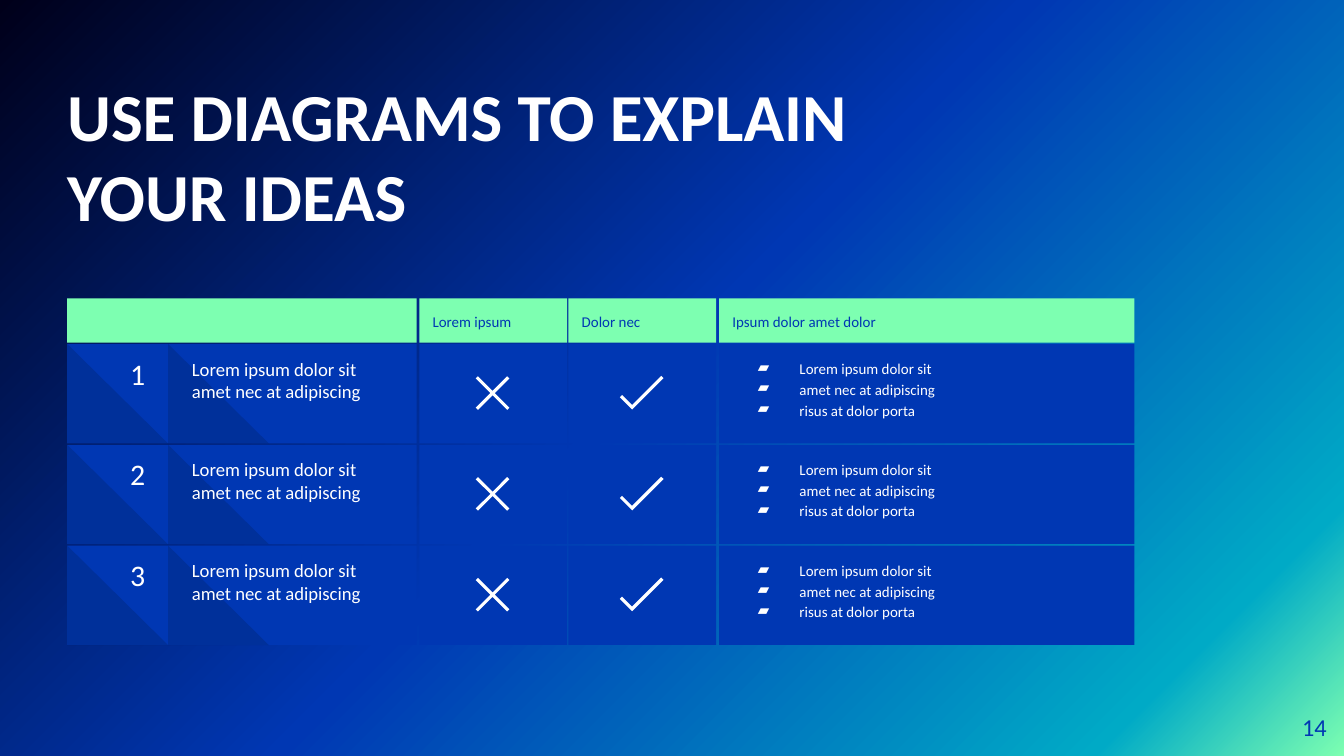
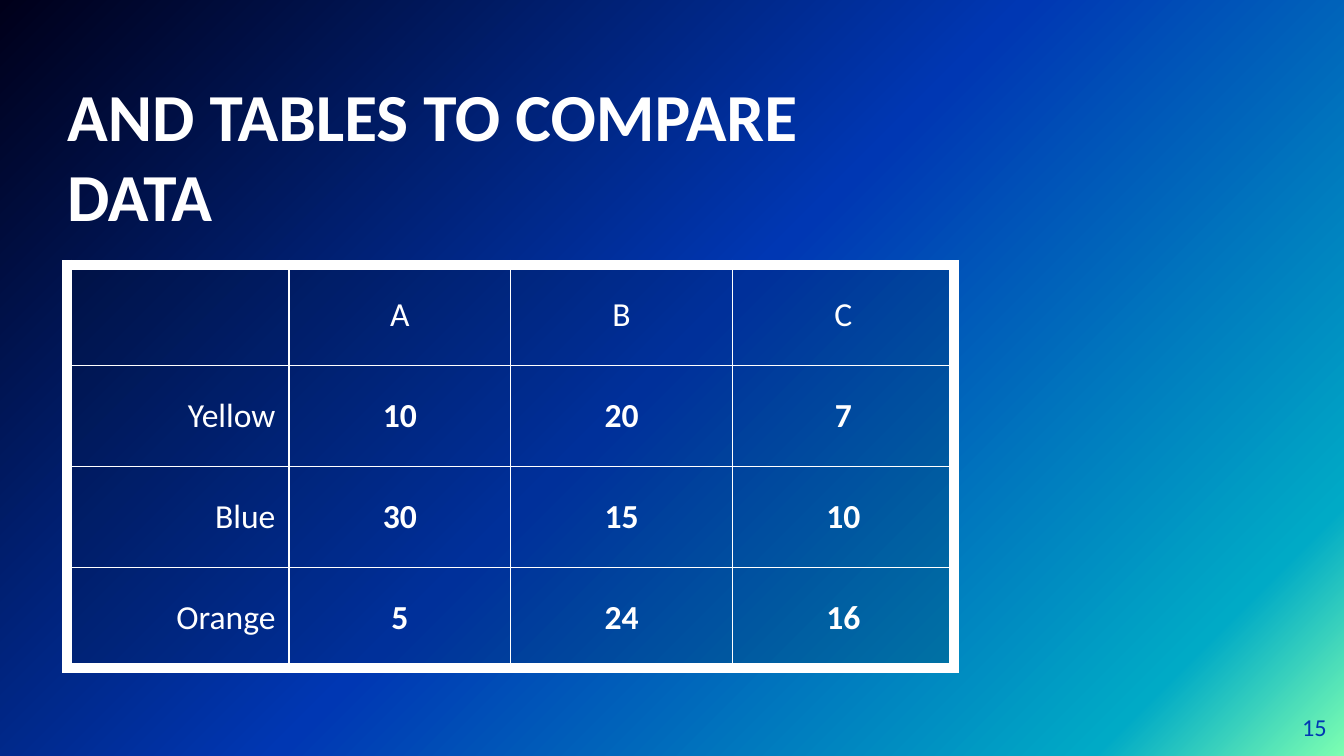
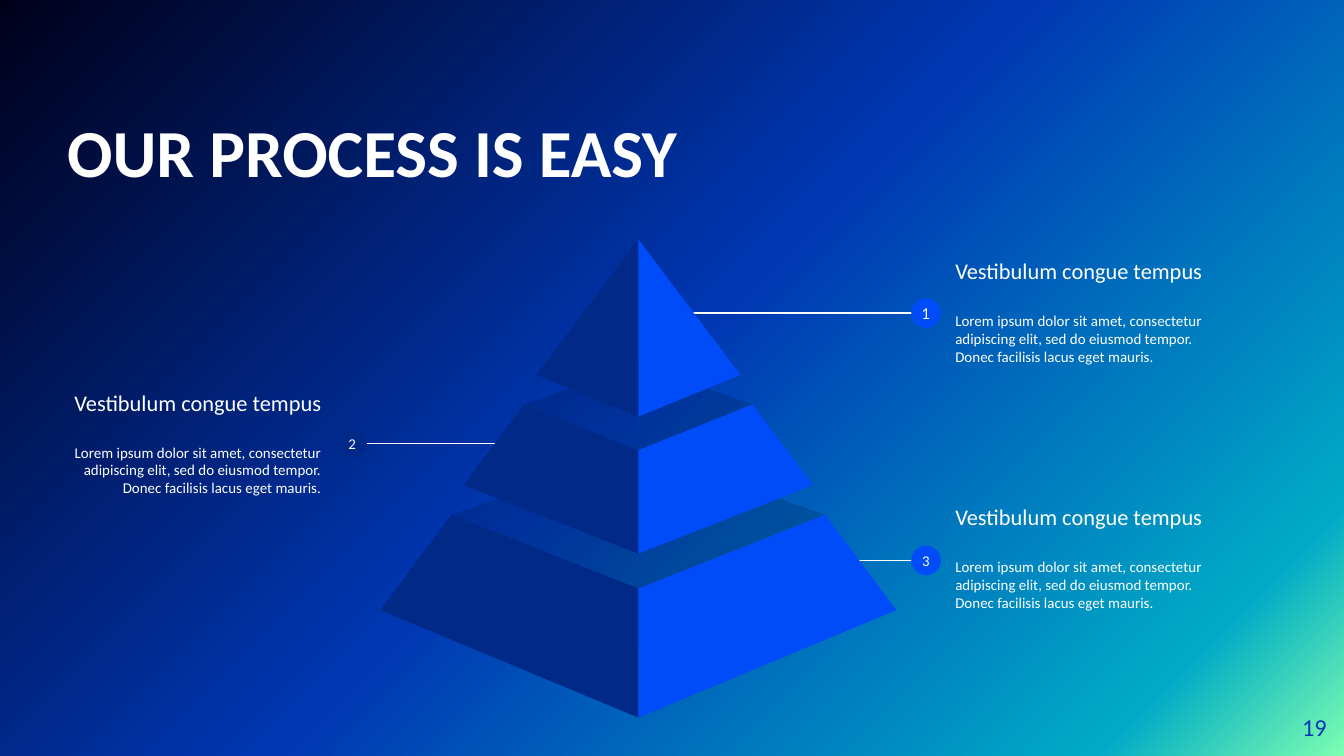
from lxml import etree
from pptx import Presentation
from pptx.dml.color import RGBColor
from pptx.enum.shapes import MSO_CONNECTOR, MSO_SHAPE
from pptx.enum.text import MSO_ANCHOR, PP_ALIGN
from pptx.oxml import parse_xml
from pptx.oxml.ns import nsdecls, qn
from pptx.util import Inches, Pt

RECT, OVAL = MSO_SHAPE.RECTANGLE, MSO_SHAPE.OVAL
TRIANGLE, TICK, CROSS = MSO_SHAPE.RIGHT_TRIANGLE, MSO_SHAPE.CORNER, MSO_SHAPE.MATH_MULTIPLY
LEFT, CENTER, RIGHT = PP_ALIGN.LEFT, PP_ALIGN.CENTER, PP_ALIGN.RIGHT
TOP, MIDDLE, BOTTOM = MSO_ANCHOR.TOP, MSO_ANCHOR.MIDDLE, MSO_ANCHOR.BOTTOM

C = {"white": "FFFFFF", "blue": "0037B3", "mint": "7DFFB1", "teal": "00AAC6",
     "night": "00001A", "shade": "001230", "bright": "004CF8", "deep": "002988"}
BACKDROP = [(0, "mint"), (12, "teal"), (51, "blue"), (100, "night")]
SHADE_ALPHA = 19

HEADERS = ["", "Lorem ipsum", "Dolor nec", "Ipsum dolor amet dolor"]
COLUMNS = [(0.5, 2.6), (3.12, 1.1), (4.23, 1.1), (5.35, 3.09)]
ROW_TOP, ROW_STEP, ROW_H = 2.56, 0.75, 0.74
ROW_NUMBERS = ["1", "2", "3"]
ROW_TEXT = "Lorem ipsum dolor sit amet nec at adipiscing"
ROW_BULLETS = ["Lorem ipsum dolor sit", "amet nec at adipiscing", "risus at dolor porta"]

DATA = [["", "A", "B", "C"],
        ["Yellow", "10", "20", "7"],
        ["Blue", "30", "15", "10"],
        ["Orange", "5", "24", "16"]]
COL_W, CELL_H = 1.65, 0.75

STEP_TITLE = "Vestibulum congue tempus"
STEP_TEXT = ("Lorem ipsum dolor sit amet, consectetur adipiscing elit, "
             "sed do eiusmod tempor. Donec facilisis lacus eget mauris.")
STEPS = [
    dict(number="3", text_at=(7.01, 3.39), line=(6.35, 6.99, 4.17), badge_x=6.78,
         color="bright", align=LEFT, font="Calibri"),
    dict(number="2", text_at=(0.45, 2.54), line=(3.72, 2.58, 3.3), badge_x=2.51,
         color="deep", align=RIGHT, font="Calibri"),
    dict(number="1", text_at=(7.01, 1.56), line=(5.12, 6.99, 2.33), badge_x=6.78,
         color="bright", align=LEFT, font="Lato"),
]
BADGE = 0.22
AXIS = 4.75
TIERS = [
    dict(lid=[(-1.39, 3.83), (0, 4.39), (1.39, 3.83), (0, 3.35)],
         face=[(1.39, 3.83), (1.92, 4.54), (0, 5.34), (0, 4.38)]),
    dict(lid=[(-0.85, 3.01), (0, 3.35), (0.85, 3.01), (0, 2.71)],
         face=[(0.85, 3.01), (0, 3.35), (0, 4.12), (1.3, 3.61)]),
    dict(lid=[], face=[(0, 1.78), (0.76, 2.79), (0, 3.1)]),
]


def rgb(name):
    return RGBColor.from_string(C[name])


def fade(el):
    color = el.find(".//" + qn("a:srgbClr"))
    etree.SubElement(color, qn("a:alpha")).set("val", str(SHADE_ALPHA * 1000))


def write(tf, text, size=8, color="white", font="Calibri", bold=False, align=LEFT,
          anchor=None, inset=None, spacing=None, after=None, bullet=False):
    tf.word_wrap = True
    if anchor is not None:
        tf.vertical_anchor = anchor
    if inset is not None:
        tf.margin_left = tf.margin_right = tf.margin_top = tf.margin_bottom = Inches(inset)
    lines = text if isinstance(text, list) else [text]
    for i, line in enumerate(lines):
        content, line_size = line if isinstance(line, tuple) else (line, size)
        p = tf.paragraphs[0] if i == 0 else tf.add_paragraph()
        p.alignment = align
        if spacing:
            p.line_spacing = spacing
        if after and i < len(lines) - 1:
            p.space_after = Pt(after)
        if bullet:
            pPr = p._p.get_or_add_pPr()
            pPr.set("marL", str(Inches(0.5)))
            pPr.set("indent", str(Inches(-0.31)))
            clr = etree.SubElement(pPr, qn("a:buClr"))
            etree.SubElement(clr, qn("a:srgbClr")).set("val", C[color])
            etree.SubElement(pPr, qn("a:buChar")).set("char", "▰")
        r = p.add_run()
        r.text = content
        r.font.size, r.font.name, r.font.bold = Pt(line_size), font, bold
        r.font.color.rgb = rgb(color)


def add_text(s, at, text, **fmt):
    write(s.shapes.add_textbox(*map(Inches, at)).text_frame, text, **fmt)


def paint(sp, color):
    sp.shadow.inherit = False
    sp.fill.solid()
    sp.fill.fore_color.rgb = rgb(color)
    sp.line.fill.background()
    if color == "shade":
        fade(sp._element.spPr)


def add_shape(s, kind, at, color, adj=()):
    sp = s.shapes.add_shape(kind, *map(Inches, at))
    paint(sp, color)
    for i, value in enumerate(adj):
        sp.adjustments[i] = value
    return sp


def add_polygon(s, points, color, side=1):
    corners = [(Inches(AXIS + side * dx), Inches(y)) for dx, y in points]
    fb = s.shapes.build_freeform(*corners[0])
    fb.add_line_segments(corners[1:], close=True)
    paint(fb.convert_to_shape(), color)


def add_slide(prs, title, title_top, number):
    s = prs.slides.add_slide(prs.slide_layouts[6])
    stops = "".join(f'<a:gs pos="{pos * 1000}"><a:srgbClr val="{C[name]}"/></a:gs>'
                    for pos, name in BACKDROP)
    bg = parse_xml(f'<p:bg {nsdecls("p", "a")}><p:bgPr><a:gradFill><a:gsLst>{stops}</a:gsLst>'
                   '<a:lin ang="13500000" scaled="0"/></a:gradFill><a:effectLst/></p:bgPr></p:bg>')
    s._element.cSld.insert(0, bg)
    add_text(s, (0.5, title_top, 6.59, 0.94), title, size=36, bold=True, anchor=BOTTOM, inset=0)
    add_text(s, (9.27, 5.19, 0.6, 0.43), number, size=13, color="blue", align=RIGHT,
             anchor=MIDDLE, inset=0)
    return s


def diagram_slide(prs):
    s = add_slide(prs, "USE DIAGRAMS TO EXPLAIN YOUR IDEAS", 0.81, "14")
    for (x, w), header in zip(COLUMNS, HEADERS):
        sp = add_shape(s, RECT, (x, 2.22, w, 0.33), "mint")
        if header:
            write(sp.text_frame, header, color="blue", anchor=MIDDLE, inset=0.1, spacing=1.15)
    for i, number in enumerate(ROW_NUMBERS):
        y = ROW_TOP + i * ROW_STEP
        cells = [add_shape(s, RECT, (x, y, w, ROW_H), "blue") for x, w in COLUMNS]
        write(cells[-1].text_frame, ROW_BULLETS, anchor=TOP, inset=0.1, spacing=1.15, bullet=True)
        for x in (1.25, 0.5):
            add_shape(s, TRIANGLE, (x, y, 0.75, ROW_H), "shade")
        add_text(s, (0.79, y, 0.47, 0.45), number, size=16, align=CENTER, anchor=BOTTOM, inset=0.1)
        add_text(s, (1.33, y, 1.63, ROW_H), ROW_TEXT, size=10, anchor=TOP, inset=0.1)
        add_shape(s, CROSS, (3.44, y + 0.14, 0.45, 0.45), "white", adj=[0.051])
        tick = add_shape(s, TICK, (4.61, y + 0.26, 0.33, 0.13), "white", adj=[0.188, 0.181])
        tick.rotation = 315


def add_borders(cell, widths):
    tcPr = cell._tc.get_or_add_tcPr()
    for i, (side, width) in enumerate(widths.items()):
        tcPr.insert(i, parse_xml(
            f'<a:ln{side} {nsdecls("a")} w="{Pt(width)}"><a:solidFill>'
            f'<a:srgbClr val="{C["white"]}"/></a:solidFill></a:ln{side}>'))


def table_slide(prs):
    s = add_slide(prs, "AND TABLES TO COMPARE DATA", 0.81, "15")
    rows, cols = len(DATA), len(DATA[0])
    table = s.shapes.add_table(rows, cols, Inches(0.5), Inches(1.97),
                               Inches(COL_W * cols), Inches(CELL_H * rows)).table
    table.first_row = table.horz_banding = False
    for i, row in enumerate(DATA):
        for j, value in enumerate(row):
            cell = table.cell(i, j)
            cell.fill.solid()
            cell.fill.fore_color.rgb = rgb("shade")
            fade(cell._tc.tcPr)
            edges = {"L": j == 0, "R": j == cols - 1, "T": i == 0, "B": i == rows - 1}
            add_borders(cell, {side: 6 if outer else 0.75 for side, outer in edges.items()})
            cell.vertical_anchor = MIDDLE
            cell.margin_left = cell.margin_right = Inches(0.1)
            cell.margin_top = cell.margin_bottom = Inches(0.07)
            if value:
                write(cell.text_frame, value, size=18, bold=i > 0 and j > 0,
                      align=CENTER if j else RIGHT)


def pyramid_slide(prs):
    s = add_slide(prs, "OUR PROCESS IS EASY", 0.48, "19")
    for step in STEPS:
        x1, x2, y = step["line"]
        line = s.shapes.add_connector(MSO_CONNECTOR.STRAIGHT, *map(Inches, (x1, y, x2, y)))
        line.line.color.rgb, line.line.width = rgb("white"), Pt(0.75)
        etree.SubElement(line._element.spPr, qn("a:effectLst"))
        add_text(s, (*step["text_at"], 2.04, 1.51), [(STEP_TITLE, 12), (STEP_TEXT, 8)],
                 align=step["align"], anchor=MIDDLE, inset=0.1, after=14.6)
        badge = add_shape(s, OVAL, (step["badge_x"], y - BADGE / 2, BADGE, BADGE), step["color"])
        write(badge.text_frame, step["number"], font=step["font"], align=CENTER,
              anchor=MIDDLE, inset=0)
    for tier in TIERS:
        if tier["lid"]:
            add_polygon(s, tier["lid"], "shade")
        add_polygon(s, tier["face"], "deep", side=-1)
        add_polygon(s, tier["face"], "bright")


def main():
    prs = Presentation()
    prs.slide_width, prs.slide_height = Inches(10), Inches(5.625)
    diagram_slide(prs)
    table_slide(prs)
    pyramid_slide(prs)
    prs.save("out.pptx")


if __name__ == "__main__":
    main()
